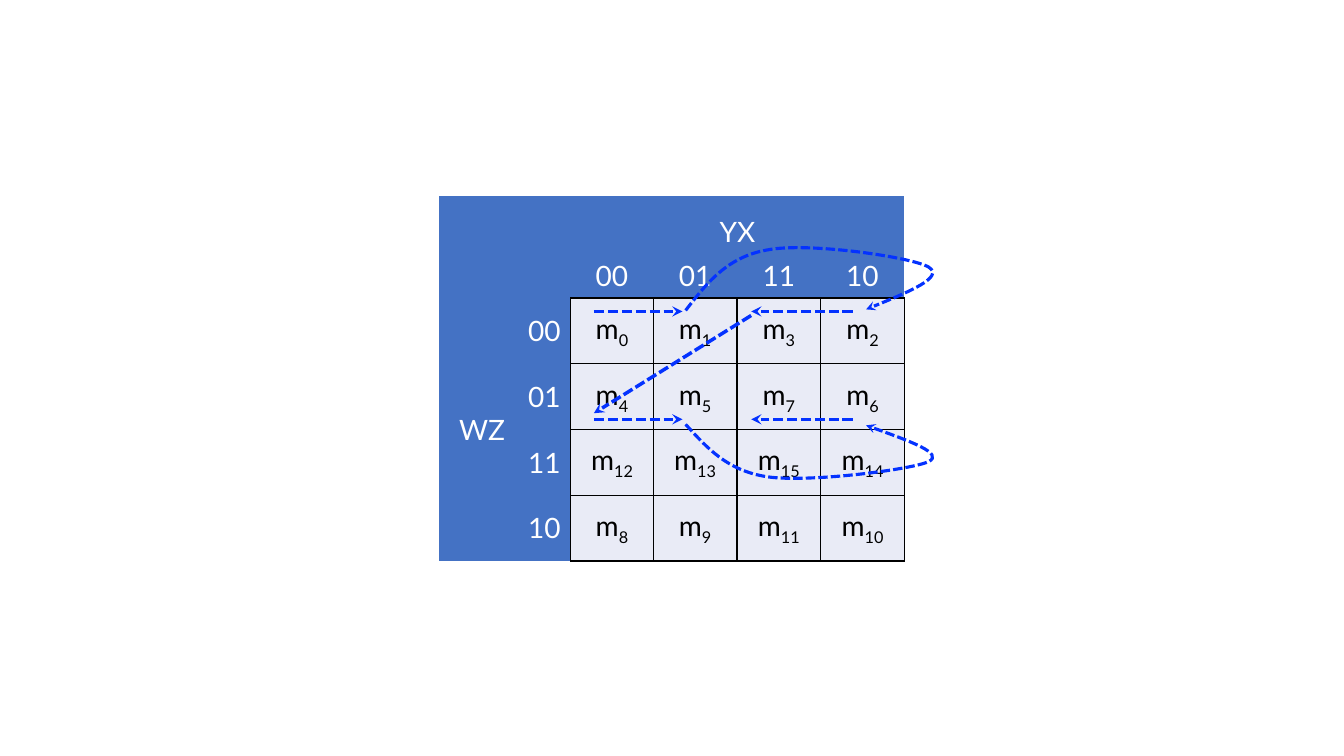
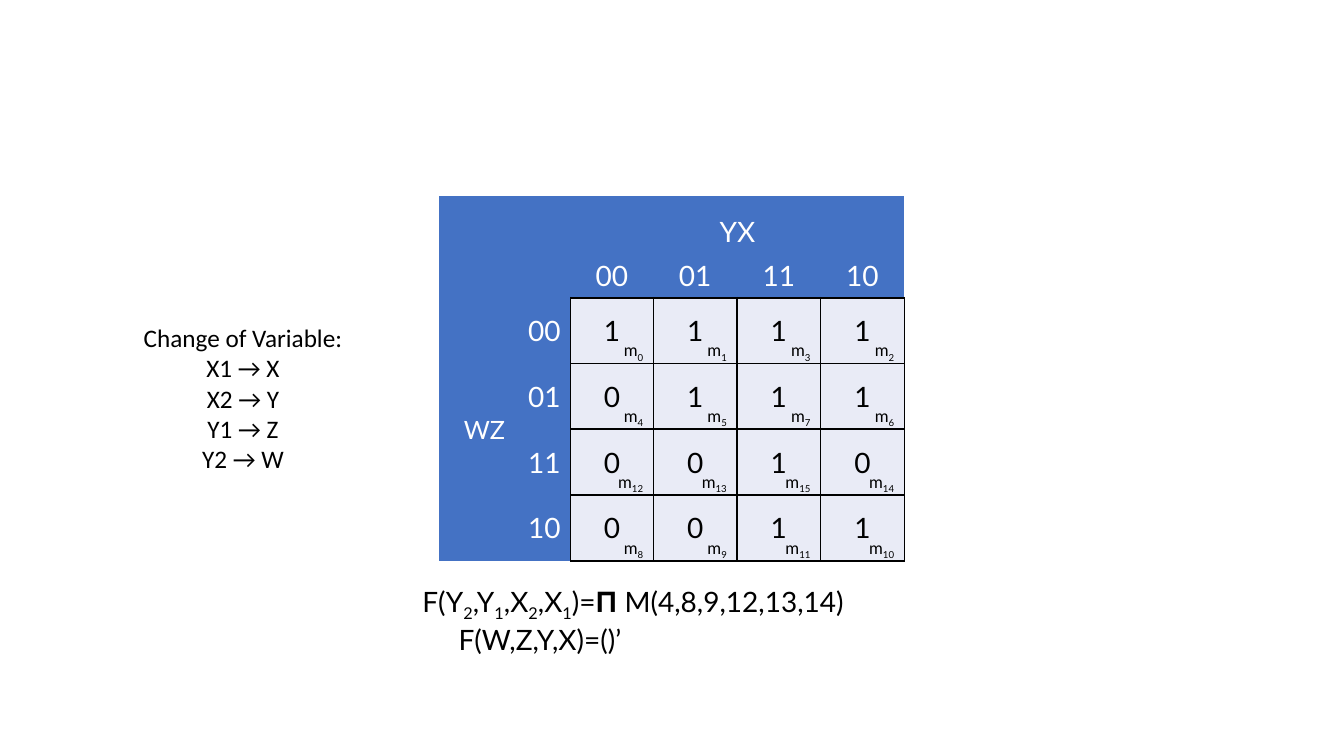
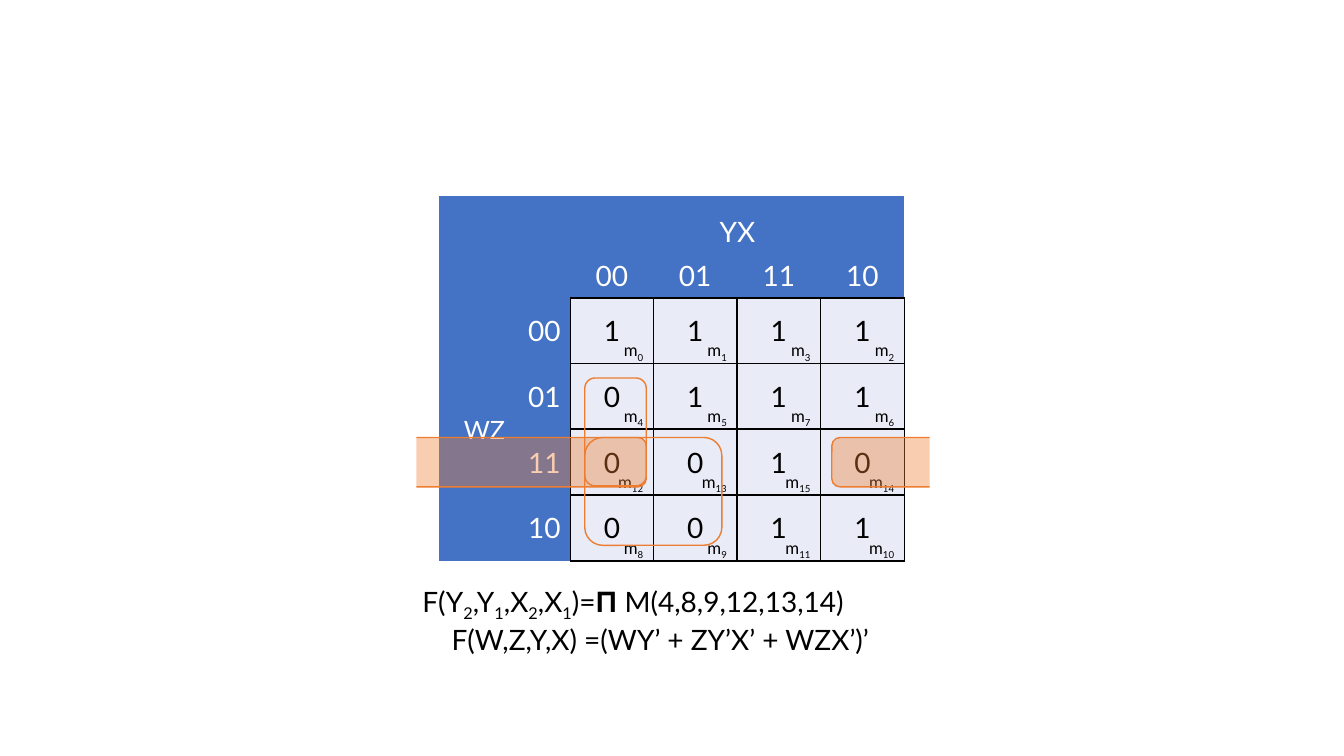
from dataclasses import dataclass

from lxml.etree import SubElement
from pptx import Presentation
from pptx.dml.color import RGBColor as RGB
from pptx.enum.dml import MSO_LINE
from pptx.enum.shapes import MSO_CONNECTOR, MSO_SHAPE
from pptx.enum.text import MSO_ANCHOR as ANCHOR, PP_ALIGN as ALIGN
from pptx.oxml.ns import qn
from pptx.util import Inches, Pt

Point = tuple[float, float]


@dataclass(frozen=True)
class Theme:
    header: RGB = RGB.from_string("4472C4")
    cell: RGB = RGB.from_string("E9EBF6")
    white: RGB = RGB.from_string("FFFFFF")
    black: RGB = RGB.from_string("000000")
    arrow: RGB = RGB.from_string("0432FF")
    group: RGB = RGB.from_string("ED7D31")
    font: str = "Lato"
    note_font: str = "Calibri"
    large: int = 20
    medium: int = 18
    small: int = 12


@dataclass(frozen=True)
class Arrow:
    start: Point
    end: Point


@dataclass(frozen=True)
class Bezier:
    control_1: Point
    control_2: Point
    end: Point


@dataclass(frozen=True)
class Loop:
    start: Point
    curves: tuple[Bezier, ...]


@dataclass(frozen=True)
class Box:
    left: float
    top: float
    width: float
    height: float

    def emu(self) -> list[int]:
        return [Inches(v) for v in (self.left, self.top, self.width, self.height)]


@dataclass(frozen=True)
class Group:
    box: Box
    filled: bool


THEME = Theme()
GRAY = (0, 1, 3, 2)
ZEROS = {4, 8, 9, 12, 13, 14}
MAP_LEFT, MAP_TOP = 4.35, 1.94
HEADER_COLS = [0.76, 0.55]
HEADER_ROWS = [0.58, 0.41]
GRID_COLS = [0.82, 0.83, 0.83, 0.83]
GRID_ROWS = [2.61 / 4] * 4
GRID_LEFT, GRID_TOP = 5.66, 2.95
NO_STYLE = "{2D5ABB26-0587-4C30-8999-92F81FD0307C}"
PRODUCT = "F(Y|2|,Y|1|,X|2|,X|1|)=𝚷 M(4,8,9,12,13,14)"
VARIABLES = ("Change of Variable:", "X1 → X", "X2 → Y", "Y1 → Z", "Y2 → W")

ARROWS = (
    Arrow((5.89, 3.09), (6.77, 3.09)),
    Arrow((5.89, 4.16), (6.77, 4.16)),
    Arrow((7.45, 3.13), (5.89, 4.1)),
    Arrow((8.46, 3.09), (7.45, 3.09)),
    Arrow((8.46, 4.16), (7.45, 4.16)),
)
LOOPS = (
    Loop((6.8, 3.08), (
        Bezier((7.01, 2.81), (7.21, 2.55), (7.61, 2.48)),
        Bezier((8.01, 2.4), (9.04, 2.55), (9.21, 2.65)),
        Bezier((9.37, 2.75), (8.98, 2.91), (8.59, 3.07)),
    )),
    Loop((6.8, 4.21), (
        Bezier((7.01, 4.44), (7.21, 4.67), (7.61, 4.73)),
        Bezier((8.01, 4.79), (9.04, 4.66), (9.21, 4.58)),
        Bezier((9.37, 4.5), (8.98, 4.36), (8.59, 4.22)),
    )),
)
GROUPS = (
    Group(Box(5.8, 4.34, 1.36, 1.07), False),
    Group(Box(5.8, 3.75, 0.61, 1.07), False),
    Group(Box(8.25, 4.34, 1.45, 0.49), True),
    Group(Box(3.63, 4.34, 2.78, 0.49), True),
)
EDGE_COVERS = (Box(3.13, 4.16, 1, 1), Box(9.22, 4.08, 1, 1))


def minterm(row: int, col: int) -> int:
    return GRAY[row] * 4 + GRAY[col]


def minterm_label(row: int, col: int) -> str:
    return f"m|{minterm(row, col)}"


def output_value(row: int, col: int) -> str:
    return "0" if minterm(row, col) in ZEROS else "1"


def write(p, text: str, size: int, color: RGB = THEME.black,
          align: ALIGN = ALIGN.LEFT, font: str = THEME.font) -> None:
    p.alignment = align
    for i, part in enumerate(text.split("|")):
        r = p.add_run()
        r.text = part
        r.font.name = font
        r.font.size = Pt(size)
        r.font.color.rgb = color
        if i % 2:
            r.font._element.set("baseline", "-25000")


def set_borders(cell, sides: str) -> None:
    tc_pr = cell._tc.get_or_add_tcPr()
    for side in sides:
        ln = SubElement(tc_pr, qn(f"a:ln{side}"), w=str(Pt(1)))
        fill = SubElement(ln, qn("a:solidFill"))
        SubElement(fill, qn("a:srgbClr"), val=str(THEME.black))


def add_plain_table(slide, left: float, top: float,
                    cols: list[float], rows: list[float]):
    box = Box(left, top, sum(cols), sum(rows))
    table = slide.shapes.add_table(len(rows), len(cols), *box.emu()).table
    table.first_row = table.horz_banding = False
    table._tbl.tblPr.find(qn("a:tableStyleId")).text = NO_STYLE
    for column, width in zip(table.columns, cols):
        column.width = Inches(width)
    for row, height in zip(table.rows, rows):
        row.height = Inches(height)
    return table


def add_map(slide, cell_text, side_size: int) -> None:
    table = add_plain_table(slide, MAP_LEFT, MAP_TOP,
                            HEADER_COLS + GRID_COLS, HEADER_ROWS + GRID_ROWS)
    table.cell(0, 2).merge(table.cell(0, 5))
    table.cell(2, 0).merge(table.cell(5, 0))

    def fill_cell(row: int, col: int, text: str, size: int, color: RGB,
                  align: ALIGN, anchor: ANCHOR) -> None:
        cell = table.cell(row, col)
        cell.vertical_anchor = anchor
        write(cell.text_frame.paragraphs[0], text, size, color, align)

    for row in range(6):
        for col in range(6):
            in_grid = row > 1 and col > 1
            cell = table.cell(row, col)
            if in_grid:
                set_borders(cell, "LRTB")
            elif row == 1 and col > 1:
                set_borders(cell, "B")
            elif col == 1 and row > 1:
                set_borders(cell, "R")
            cell.fill.solid()
            cell.fill.fore_color.rgb = THEME.cell if in_grid else THEME.header

    fill_cell(0, 2, "YX", THEME.large, THEME.white, ALIGN.CENTER, ANCHOR.BOTTOM)
    fill_cell(2, 0, "WZ", side_size, THEME.white, ALIGN.RIGHT, ANCHOR.MIDDLE)
    for i, code in enumerate(GRAY):
        bits = f"{code:02b}"
        fill_cell(1, i + 2, bits, THEME.large, THEME.white, ALIGN.CENTER, ANCHOR.BOTTOM)
        fill_cell(i + 2, 1, bits, THEME.large, THEME.white, ALIGN.RIGHT, ANCHOR.MIDDLE)
        for j in range(4):
            fill_cell(i + 2, j + 2, cell_text(i, j), THEME.large, THEME.black,
                      ALIGN.CENTER, ANCHOR.MIDDLE)


def add_minterm_overlay(slide) -> None:
    table = add_plain_table(slide, GRID_LEFT, GRID_TOP, GRID_COLS, GRID_ROWS)
    for row in range(4):
        for col in range(4):
            cell = table.cell(row, col)
            set_borders(cell, "LRTB")
            cell.fill.background()
            cell.margin_bottom = 0
            cell.vertical_anchor = ANCHOR.BOTTOM
            write(cell.text_frame.paragraphs[0], minterm_label(row, col),
                  THEME.small, align=ALIGN.RIGHT)


def add_formula(slide, result: str, indent: float, width: float) -> None:
    tf = slide.shapes.add_textbox(*Box(4.09, 5.75, width, 0.77).emu()).text_frame
    tf.word_wrap = True
    write(tf.paragraphs[0], PRODUCT, THEME.large)
    p = tf.add_paragraph()
    write(p, result, THEME.large)
    p._p.get_or_add_pPr().set("marL", str(Inches(indent)))


def add_variables(slide) -> None:
    tf = slide.shapes.add_textbox(*Box(1.31, 3.15, 2.2, 2.22).emu()).text_frame
    tf.word_wrap = False
    for i, text in enumerate(VARIABLES):
        p = tf.add_paragraph() if i else tf.paragraphs[0]
        write(p, text, THEME.medium, align=ALIGN.CENTER, font=THEME.note_font)


def style_arrow(line, width: float) -> None:
    line.color.rgb = THEME.arrow
    line.width = Pt(width)
    line.dash_style = MSO_LINE.SQUARE_DOT
    SubElement(line._get_or_add_ln(), qn("a:tailEnd"), type="stealth")


def add_arrow(slide, arrow: Arrow) -> None:
    ends = [Inches(v) for v in arrow.start + arrow.end]
    line = slide.shapes.add_connector(MSO_CONNECTOR.STRAIGHT, *ends)
    style_arrow(line.line, 2.5)
    SubElement(line._element.spPr, qn("a:effectLst"))


def add_loop(slide, loop: Loop) -> None:
    builder = slide.shapes.build_freeform(*map(Inches, loop.start))
    builder.add_line_segments(
        [tuple(map(Inches, c.end)) for c in loop.curves], close=False)
    sp = builder.convert_to_shape()
    segments = list(sp._element.spPr.iter(qn("a:lnTo")))
    for segment, curve in zip(segments, loop.curves):
        segment.tag = qn("a:cubicBezTo")
        for i, (x, y) in enumerate((curve.control_1, curve.control_2)):
            pt = SubElement(segment, qn("a:pt"), x=str(Inches(x) - sp.left),
                            y=str(Inches(y) - sp.top))
            segment.insert(i, pt)
    sp.fill.background()
    sp.shadow.inherit = False
    style_arrow(sp.line, 2.25)


def add_group(slide, group: Group) -> None:
    sp = slide.shapes.add_shape(MSO_SHAPE.ROUNDED_RECTANGLE, *group.box.emu())
    sp.shadow.inherit = False
    sp.line.color.rgb = THEME.group
    sp.line.width = Pt(1)
    if group.filled:
        sp.fill.solid()
        sp.fill.fore_color.rgb = THEME.group
        color = next(sp._element.spPr.iter(qn("a:srgbClr")))
        SubElement(color, qn("a:alpha"), val="38000")
    else:
        sp.fill.background()


def add_cover(slide, box: Box) -> None:
    sp = slide.shapes.add_shape(MSO_SHAPE.RECTANGLE, *box.emu())
    sp.shadow.inherit = False
    sp.fill.solid()
    sp.fill.fore_color.rgb = THEME.white
    sp.line.fill.background()


def build_order_slide(slide) -> None:
    add_map(slide, minterm_label, THEME.large)
    for arrow in ARROWS:
        add_arrow(slide, arrow)
    for loop in LOOPS:
        add_loop(slide, loop)


def build_values_slide(slide) -> None:
    add_map(slide, output_value, THEME.medium)
    add_formula(slide, "F(W,Z,Y,X)=()’", 0.36, 4.61)
    add_minterm_overlay(slide)
    add_variables(slide)


def build_groups_slide(slide) -> None:
    add_map(slide, output_value, THEME.medium)
    add_formula(slide, "F(W,Z,Y,X) =(WY’ + ZY’X’ + WZX’)’", 0.29, 4.85)
    add_minterm_overlay(slide)
    for group in GROUPS:
        add_group(slide, group)
    for box in EDGE_COVERS:
        add_cover(slide, box)


def main() -> None:
    prs = Presentation()
    prs.slide_width, prs.slide_height = Inches(13.33), Inches(7.5)
    blank = prs.slide_layouts[6]
    for build in (build_order_slide, build_values_slide, build_groups_slide):
        build(prs.slides.add_slide(blank))
    prs.save("out.pptx")


if __name__ == "__main__":
    main()
